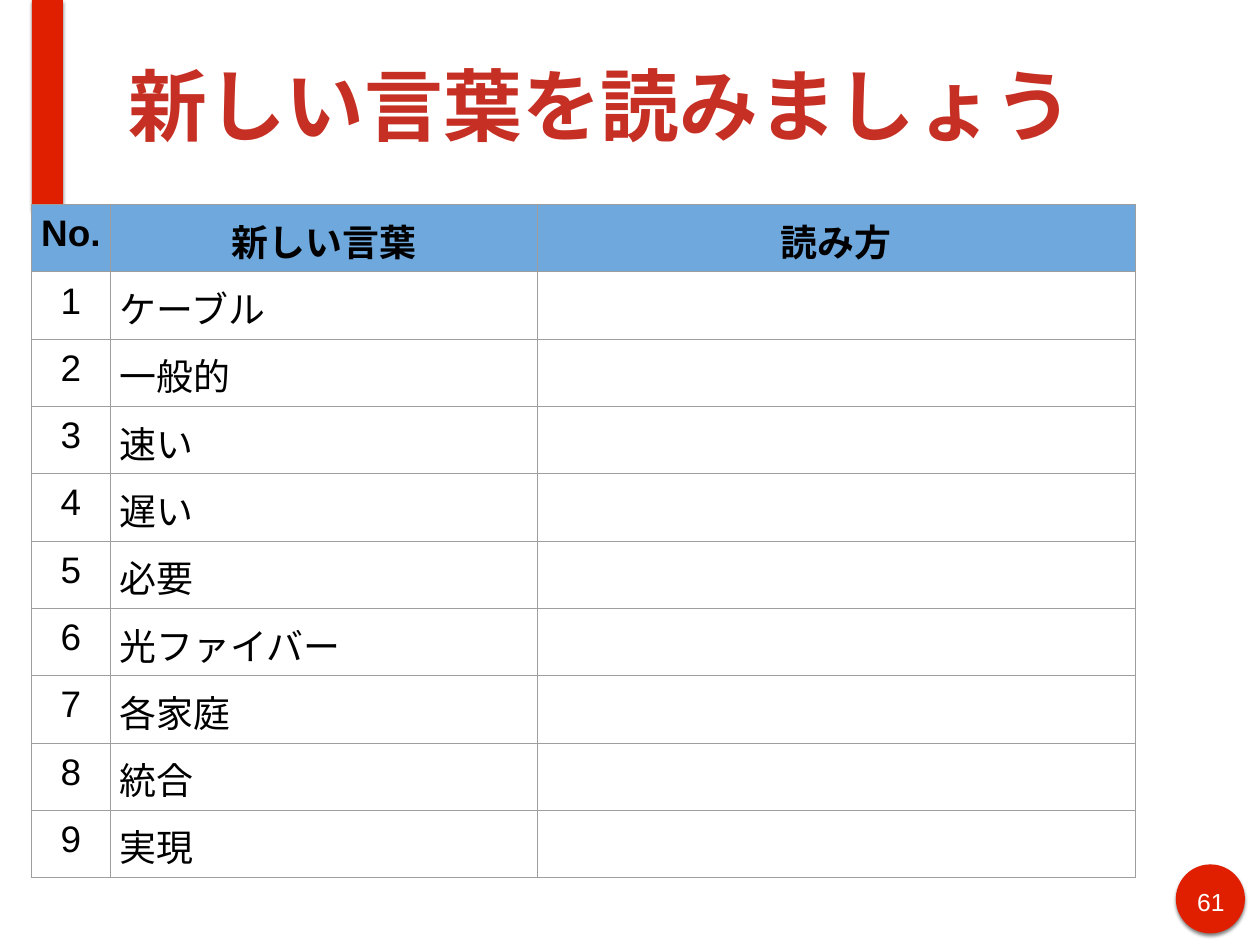
from lxml.etree import SubElement
from pptx import Presentation
from pptx.dml.color import RGBColor
from pptx.enum.lang import MSO_LANGUAGE_ID as LANG
from pptx.enum.shapes import MSO_SHAPE as SHAPE
from pptx.enum.text import MSO_ANCHOR as ANCHOR, MSO_AUTO_SIZE as AUTO, PP_ALIGN as ALIGN
from pptx.oxml import parse_xml
from pptx.oxml.ns import nsdecls, qn
from pptx.util import Inches, Pt

RED = "DF1F00"
HEADS = ["No.", "新しい言葉", "読み方"]
WORDS = ["ケーブル", "一般的", "速い", "遅い", "必要", "光ファイバー", "各家庭", "統合", "実現"]
WIDTHS = [0.9, 4.81, 6.75]
ROW = 0.76

SHADOW = f"""<a:effectLst {nsdecls("a")}>
<a:outerShdw blurRad="{Pt(3)}" dist="{Pt(2)}" dir="5400000" algn="ctr" rotWithShape="0">
<a:srgbClr val="000000"><a:alpha val="50000"/></a:srgbClr></a:outerShdw></a:effectLst>"""


def color(code):
    return RGBColor.from_string(code)


def style(para, text, size, code, bold=False, align=ALIGN.LEFT):
    para.text = text
    para.alignment = align
    font = para.font
    font.name = "Arial"
    font.size = Pt(size)
    font.bold = bold
    font.color.rgb = color(code)
    font.language_id = LANG.JAPANESE


def inset(item, size):
    item.margin_left = item.margin_right = Inches(size)
    item.margin_top = item.margin_bottom = Inches(size)


def add_mark(slide, kind, *box):
    mark = slide.shapes.add_shape(kind, *map(Inches, box))
    mark.fill.solid()
    mark.fill.fore_color.rgb = color(RED)
    mark.line.fill.background()
    mark.shadow.inherit = False
    props = mark._element.spPr
    props.replace(props.find(qn("a:effectLst")), parse_xml(SHADOW))


def add_title(slide, text):
    title = slide.shapes.title
    title.left, title.top = Inches(1.39), Inches(0.12)
    title.width, title.height = Inches(12.14), Inches(2.12)
    frame = title.text_frame
    frame.auto_size = AUTO.NONE
    frame.vertical_anchor = ANCHOR.MIDDLE
    inset(frame, 0.06)
    style(frame.paragraphs[0], text, 64, "C63024", True)


def add_number(slide, text):
    box = slide.shapes.add_textbox(Inches(13.42), Inches(9.95), Inches(0.49), Inches(0.39))
    frame = box.text_frame
    frame.word_wrap = True
    inset(frame, 0.06)
    style(frame.paragraphs[0], text, 20, "FFFFFF", align=ALIGN.CENTER)


def add_border(cell):
    props = cell._tc.get_or_add_tcPr()
    for side in ("lnL", "lnR", "lnT", "lnB"):
        line = SubElement(props, qn(f"a:{side}"), w=str(Pt(0.75)))
        fill = SubElement(line, qn("a:solidFill"))
        SubElement(fill, qn("a:srgbClr"), val="9E9E9E")


def add_words(slide):
    rows = [HEADS] + [[str(n), word, ""] for n, word in enumerate(WORDS, 1)]
    frame = slide.shapes.add_table(
        len(rows), len(HEADS), Inches(0.35), Inches(2.31),
        Inches(sum(WIDTHS)), Inches(ROW * len(rows)))
    table = frame.table
    for col, width in zip(table.columns, WIDTHS):
        col.width = Inches(width)
    for r, row in enumerate(rows):
        table.rows[r].height = Inches(ROW)
        for c, text in enumerate(row):
            cell = table.cell(r, c)
            inset(cell, 0.1)
            add_border(cell)
            if r == 0:
                cell.fill.solid()
                cell.fill.fore_color.rgb = color("6FA8DC")
            else:
                cell.fill.background()
            if text:
                align = ALIGN.CENTER if r == 0 or c == 0 else ALIGN.LEFT
                style(cell.text_frame.paragraphs[0], text, 30, "000000", r == 0, align)


def main():
    deck = Presentation()
    deck.slide_width, deck.slide_height = Inches(14.22), Inches(10.67)
    slide = deck.slides.add_slide(deck.slide_layouts[5])

    # Red marks and page number
    add_mark(slide, SHAPE.OVAL, 13.27, 9.76, 0.78, 0.78)
    add_mark(slide, SHAPE.RECTANGLE, 0.36, 0, 0.35, 2.36)
    add_number(slide, "61")

    # Title and word table
    add_title(slide, "新しい言葉を読みましょう")
    add_words(slide)

    deck.save("out.pptx")


if __name__ == "__main__":
    main()
